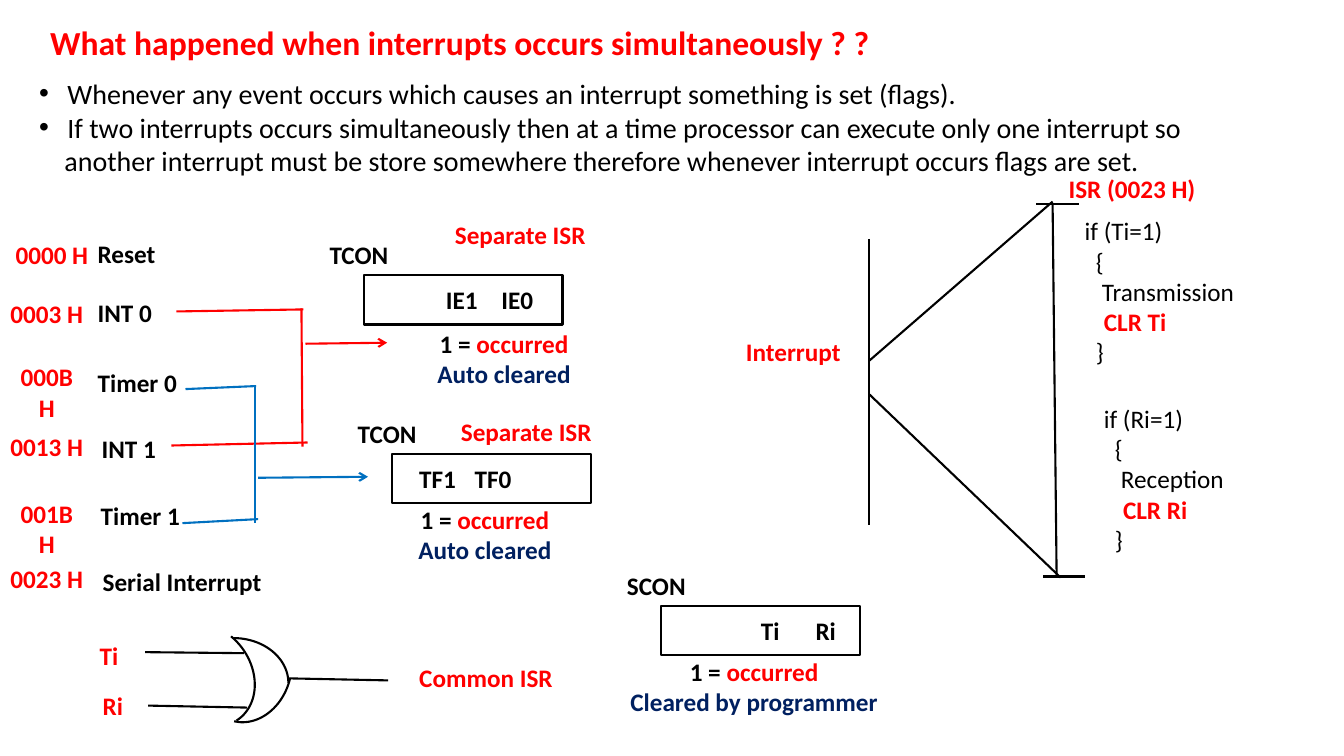
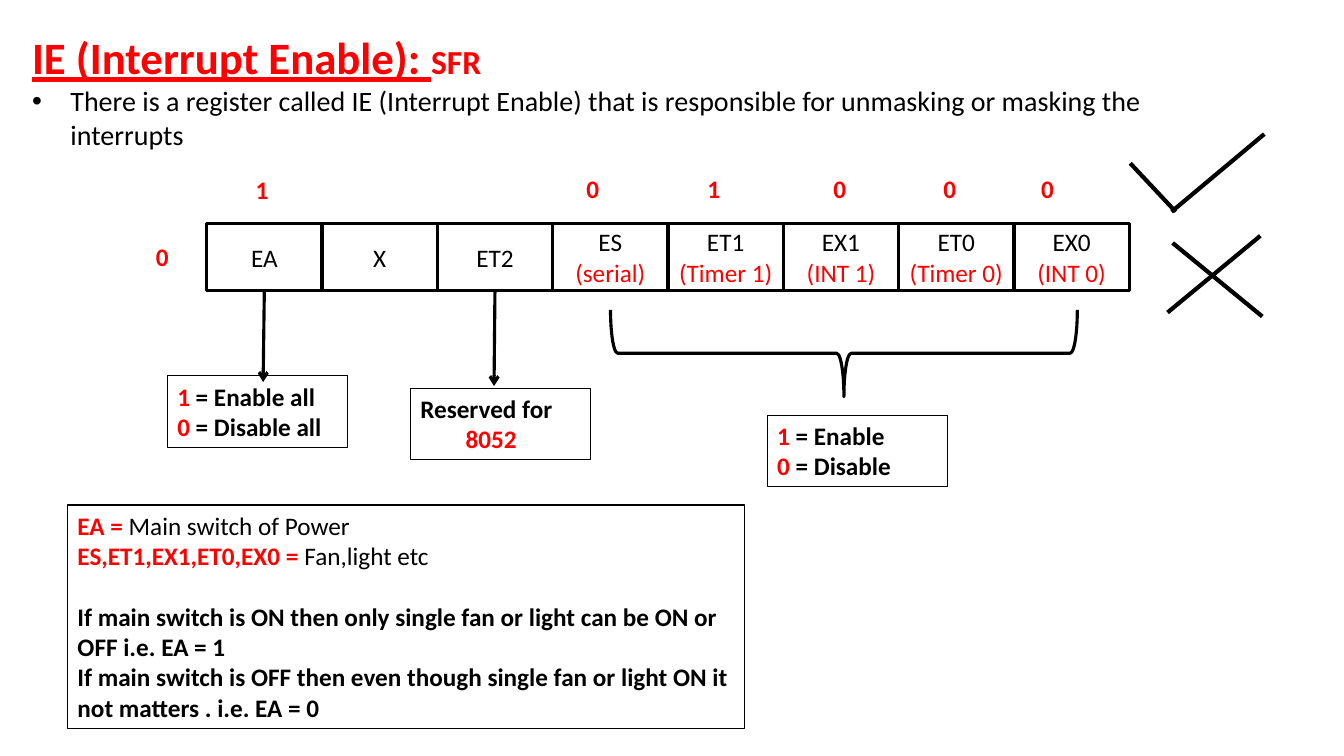
from collections import namedtuple

from lxml import etree
from pptx import Presentation
from pptx import util as u
from pptx.dml.color import RGBColor
from pptx.enum import shapes, text
from pptx.oxml import ns

BLACK = RGBColor(0, 0, 0)
RED = RGBColor(255, 0, 0)
NAVY = RGBColor(0, 32, 96)
BLUE = RGBColor(0, 112, 192)
FONT = "Calibri"
LEFT, MID = text.PP_ALIGN.LEFT, text.PP_ALIGN.CENTER
TOP, HALF = text.MSO_ANCHOR.TOP, text.MSO_ANCHOR.MIDDLE
KIND = shapes.MSO_SHAPE

Run = namedtuple("Run", "words tint bold size under", defaults=(BLACK, True, 18, False))
Para = namedtuple("Para", "runs left dot gap", defaults=(0, False, 0))


def plain(words, tint=BLACK, size=18):
    return Run(words, tint, False, size)


def say(words, tint=BLACK, size=18):
    return [Para([Run(words, tint, True, size)])]


class Deck:
    def __init__(self):
        self.show = Presentation()
        self.show.slide_width = u.Inches(13.33)
        self.show.slide_height = u.Inches(7.5)
        self.slide = None

    def page(self):
        self.slide = self.show.slides.add_slide(self.show.slide_layouts[6])

    def fill(self, frame, paras, align, anchor, wrap=True):
        frame.word_wrap = wrap
        frame.vertical_anchor = anchor
        for i, para in enumerate(paras):
            p = frame.paragraphs[0] if i == 0 else frame.add_paragraph()
            p.alignment = align
            if para.gap:
                p.space_before = u.Pt(para.gap)
            props = p._p.get_or_add_pPr()
            if para.left:
                props.set("marL", str(u.Inches(para.left)))
                props.set("indent", str(u.Inches(-para.left if para.dot else 0)))
            if para.dot:
                etree.SubElement(props, ns.qn("a:buFont")).set("typeface", "Arial")
                etree.SubElement(props, ns.qn("a:buChar")).set("char", "•")
            for part in para.runs:
                r = p.add_run()
                r.text = part.words
                r.font.name = FONT
                r.font.size = u.Pt(part.size)
                r.font.bold = part.bold
                r.font.underline = part.under
                r.font.color.rgb = part.tint

    def label(self, x, y, w, paras, h=0.4, align=LEFT, anchor=TOP, wrap=True):
        box = self.slide.shapes.add_textbox(*map(u.Inches, (x, y, w, h)))
        self.fill(box.text_frame, paras, align, anchor, wrap)

    def shape(self, kind, x, y, w, h, weight=1.5, turn=0, bends=()):
        item = self.slide.shapes.add_shape(kind, *map(u.Inches, (x, y, w, h)))
        item.shadow.inherit = False
        item.fill.background()
        item.line.color.rgb = BLACK
        item.line.width = u.Pt(weight)
        item.rotation = turn
        for i, bend in enumerate(bends):
            item.adjustments[i] = bend
        return item

    def box(self, x, y, w, h, paras=(), weight=0.75, align=LEFT, anchor=TOP, pad=0.1):
        item = self.shape(KIND.RECTANGLE, x, y, w, h, weight)
        item.text_frame.margin_left = item.text_frame.margin_right = u.Inches(pad)
        self.fill(item.text_frame, paras, align, anchor)
        return item

    def wire(self, x1, y1, x2, y2, tint=BLACK, weight=1.5, arrow=False, start=None):
        line = self.slide.shapes.add_connector(
            shapes.MSO_CONNECTOR.STRAIGHT, *map(u.Inches, (x1, y1, x2, y2)))
        line.line.color.rgb = tint
        line.line.width = u.Pt(weight)
        if arrow:
            etree.SubElement(line.get_or_add_ln(), ns.qn("a:tailEnd")).set("type", "arrow")
        etree.SubElement(line._element.spPr, ns.qn("a:effectLst"))
        if start is not None:
            line.begin_connect(start, 2)

    def bank(self, name, x, y, bits, first, note, verdict):
        self.label(x - 0.44, y - 0.4, 0.84, say(name))
        self.box(x, y, 1.97, 0.49, weight=1.5)
        for i, bit in enumerate(bits):
            self.label(first + i * 0.55, y, 0.6, say(bit), 0.49, MID, HALF)
        paras = [Para([Run("1 = "), Run("occurred", RED)]), *say(verdict, NAVY)]
        self.label(*note, 2.8, paras, 0.71, MID)

    def code(self, x, y, test, action, clear):
        self.label(x, y, 2.5, [
            Para([plain(test)], 0.06),
            Para([plain("{")], 0.17),
            Para([plain(action)], 0.23),
            Para([Run(clear, RED)], 0.25),
            Para([plain("}")], 0.17)], 1.62)


def flags(deck):
    deck.page()
    deck.label(0.29, 0.71, 12.01, [
        Para([plain("Whenever any event occurs which causes an interrupt something is set (flags).",
                    size=20)], 0.28, True),
        Para([plain("If two interrupts occurs simultaneously then at a time processor can execute "
                    "only one interrupt so", size=20)], 0.28, True),
        Para([plain("another interrupt must be store somewhere therefore whenever interrupt "
                    "occurs flags are set.", size=20)], 0.25)], 1.11)
    deck.label(0.4, 0.17, 10.06,
               say("What happened when interrupts occurs simultaneously ? ?", RED, 24), 0.5)

    for code, left, high, name, x, y in (
            ("0000 H", 0.05, 2.33, "Reset", 0.87, 2.32),
            ("0003 H", 0, 2.91, "INT 0", 0.87, 2.9),
            ("000B H", 0, 3.54, "Timer 0", 0.87, 3.59),
            ("0013 H", 0, 4.23, "INT 1", 0.91, 4.25),
            ("001B H", 0, 4.89, "Timer 1", 0.9, 4.91),
            ("0023 H", 0, 5.54, "Serial Interrupt", 0.92, 5.57)):
        deck.label(left, high, 0.93, say(code, RED), align=MID, wrap=False)
        deck.label(x, y, 1.95, say(name))

    for tint, upper, lower, spine, out in (
            (RED, (1.75, 3.09, 3.01, 3.07), (1.7, 4.42, 3.05, 4.39),
             (3, 4.43, 2.99, 3.06), (3.03, 3.41, 3.84, 3.4)),
            (BLUE, (1.84, 3.86, 2.54, 3.83), (1.81, 5.19, 2.56, 5.15),
             (2.53, 5.19, 2.53, 3.83), (2.56, 4.74, 3.65, 4.73))):
        for ends in (upper, lower, spine):
            deck.wire(*ends, tint)
        deck.wire(*out, tint, arrow=True)

    deck.bank("TCON", 3.61, 2.73, ("IE1", "IE0"), 4.28, (3.6, 3.21), "Auto cleared")
    deck.bank("TCON", 3.89, 4.5, ("TF1", "TF0"), 4.04, (3.41, 4.95), "Auto cleared")
    deck.bank("SCON", 6.56, 6.01, ("Ti", "Ri"), 7.34, (6.08, 6.46), "Cleared by programmer")

    for x, y, turn, bends in (
            (1.77, 6.33, 0, (162, 0)),
            (1.9, 6.18, 103, ()),
            (1.5, 6.25, 53.5, (149.69, 1.74))):
        deck.shape(KIND.ARC, x, y, 1.09, 0.89, turn=turn, bends=bends)
    for ends in ((1.47, 7, 2.45, 7.02), (1.44, 6.47, 2.42, 6.48), (2.87, 6.73, 3.85, 6.75)):
        deck.wire(*ends)
    deck.label(0.89, 6.3, 0.47, say("Ti", RED))
    deck.label(0.92, 6.8, 0.47, say("Ri", RED))

    for x, y, words in ((3.93, 6.52, "Common ISR"), (4.27, 2.13, "Separate ISR"),
                        (4.33, 4.08, "Separate ISR")):
        deck.label(x, y, 1.78, say(words, RED), align=MID)

    deck.label(7.3, 3.29, 1.58, say("Interrupt", RED))
    for ends in ((8.62, 2.37, 8.62, 5.21), (10.44, 2, 8.62, 3.58), (10.52, 5.73, 8.62, 3.91),
                 (10.44, 2.02, 10.48, 5.73), (10.76, 5.72, 10.34, 5.72),
                 (10.7, 2.02, 10.28, 2.02)):
        deck.wire(*ends)
    deck.label(10.5, 1.67, 1.51, say("ISR (0023 H)", RED))
    deck.code(10.6, 2.09, "if (Ti=1)", "Transmission", "CLR Ti")
    deck.code(10.79, 3.95, "if (Ri=1)", "Reception", "CLR Ri")


def enable(deck):
    deck.page()
    deck.label(0.22, 0.25, 11.37, [
        Para([Run("IE (Interrupt Enable): ", RED, True, 32, True), Run("SFR", RED, True, 24)]),
        Para([plain("There is a register called IE (Interrupt Enable) that is responsible for "
                    "unmasking or masking the interrupts", size=20)], 0.38, True)], 1.31)

    wide = 9.15 / 8
    cells = []
    for i, (bit, source) in enumerate((
            ("EA", ""), ("X", ""), ("ET2", ""), ("ES", "(serial)"), ("ET1", "(Timer 1)"),
            ("EX1", "(INT 1)"), ("ET0", "(Timer 0)"), ("EX0", "(INT 0)"))):
        paras = [Para([plain(bit)])]
        if source:
            paras.append(Para([plain(source, RED)]))
        cells.append(deck.box(2.05 + i * wide, 2.22, wide, 0.66, paras, 2.25, MID, HALF, 0.05))

    for mid, y, bit in ((2.6, 1.68, "1"), (5.88, 1.67, "0"), (7.08, 1.67, "1"), (8.33, 1.67, "0"),
                        (9.42, 1.67, "0"), (10.39, 1.67, "0"), (1.61, 2.34, "0")):
        deck.label(mid - 0.3, y, 0.6, say(bit, RED), align=MID)

    deck.shape(KIND.RIGHT_BRACE, 7.94, 1.19, 0.86, 4.63, 2.25, 90)
    deck.wire(2.62, 2.88, 2.61, 3.79, weight=2.25, arrow=True, start=cells[0])
    deck.wire(4.91, 2.88, 4.9, 3.83, weight=2.25, arrow=True, start=cells[2])

    for x, y, tail in ((7.61, 4.12, ""), (1.66, 3.73, " all")):
        deck.box(x, y, 1.79, 0.71, [
            Para([Run(bit, RED), Run(f" = {verb}{tail}")])
            for bit, verb in (("1", "Enable"), ("0", "Disable"))])
    deck.box(4.07, 3.85, 1.79, 0.71,
             [*say("Reserved for"), Para([Run("8052", RED)], 0.45)])

    for ends in ((11.21, 1.62, 11.66, 2.1), (11.62, 2.1, 12.54, 1.33),
                 (11.63, 2.41, 12.52, 3.14), (11.58, 3.1, 12.5, 2.34)):
        deck.wire(*ends, weight=3)

    deck.box(0.67, 5.01, 6.71, 2.22, [
        Para([Run("EA = ", RED), plain("Main switch of Power")]),
        Para([Run("ES,ET1,EX1,ET0,EX0 = ", RED), plain("Fan,light etc")]),
        Para([Run("If main switch is ON then only single fan or light can be ON or OFF "
                  "i.e. EA = 1")], gap=22),
        *say("If main switch is OFF then even though single fan or light ON it "
             "not matters . i.e. EA = 0")])


def main():
    deck = Deck()
    flags(deck)
    enable(deck)
    deck.show.save("out.pptx")


if __name__ == "__main__":
    main()
